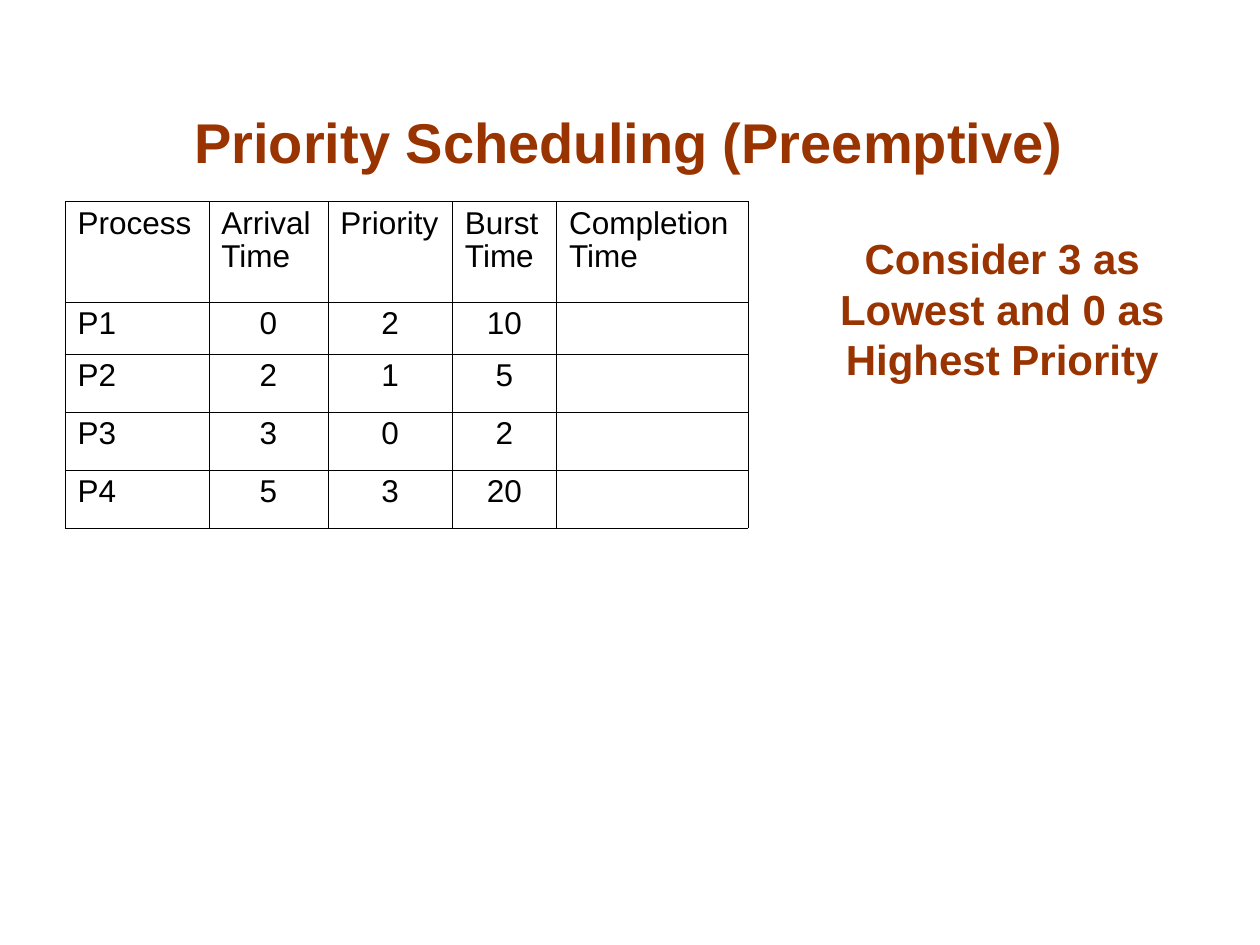
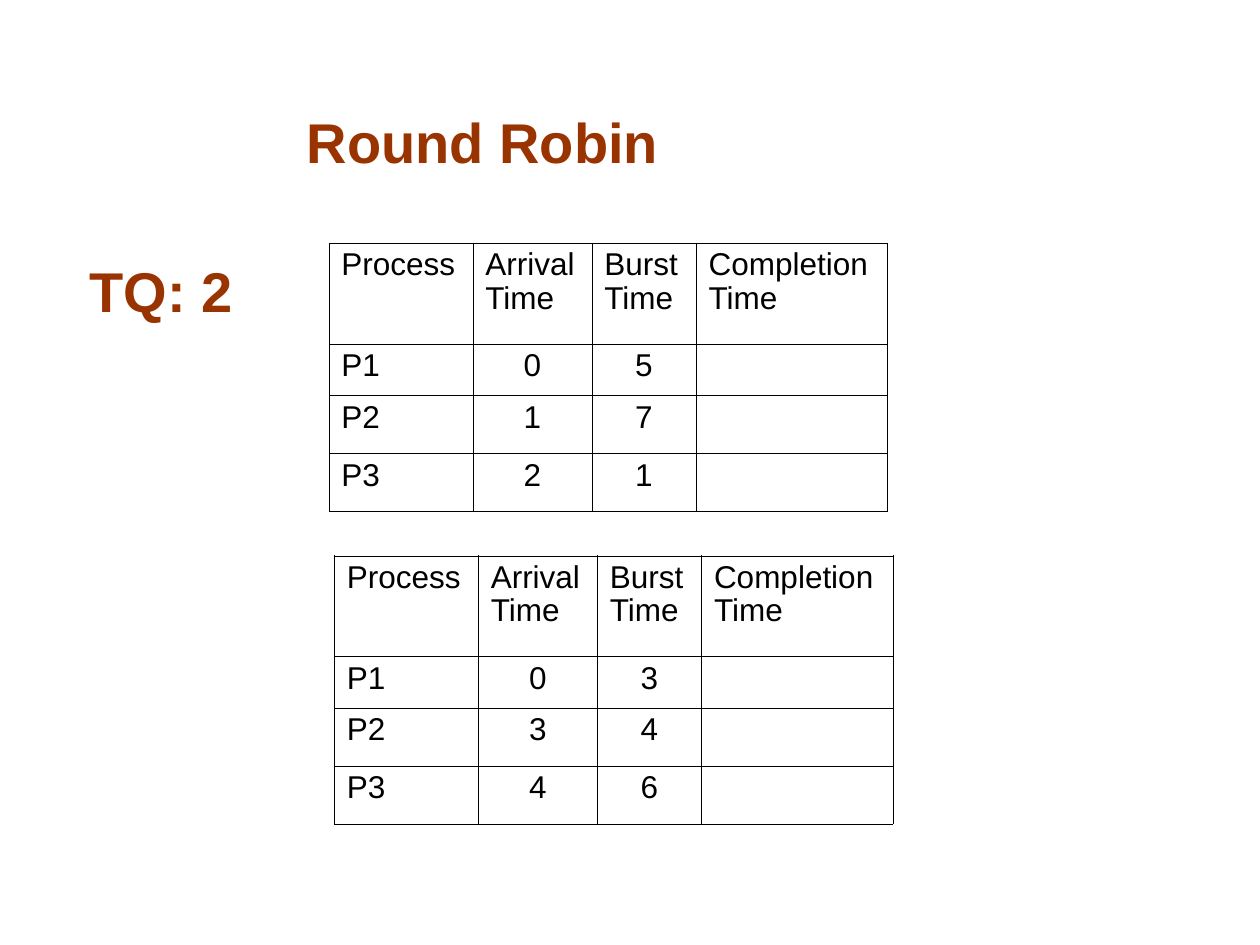
from lxml.etree import SubElement
from pptx import Presentation
from pptx.dml.color import RGBColor
from pptx.enum.text import MSO_ANCHOR as Anchor, MSO_AUTO_SIZE as Fit, PP_ALIGN as Align
from pptx.oxml.ns import qn
from pptx.util import Cm, Pt

FONT = "Arial"
RUST = "993300"
BLACK = "000000"
HAIR = Pt(0.11)

WIDTHS = {"Process": 2.9, "Arrival Time": 2.4, "Priority": 2.51,
          "Burst Time": 2.1, "Completion Time": 3.86}
HEAD, FIRST, OTHER = 2.03, 1.04, 1.17


def color(code):
    return RGBColor.from_string(code)


def write(frame, text, size=18, ink=BLACK, bold=False, align=Align.LEFT, lead=1.0):
    para = frame.paragraphs[0]
    para.text = text
    para.alignment = align
    para.line_spacing = lead
    font = para.font
    font.name, font.size, font.bold = FONT, Pt(size), bold
    font.color.rgb = color(ink)


def border(cell):
    props = cell._tc.get_or_add_tcPr()
    for side in ("lnL", "lnR", "lnT", "lnB"):
        line = SubElement(props, qn("a:" + side), w=str(HAIR))
        fill = SubElement(line, qn("a:solidFill"))
        SubElement(fill, qn("a:srgbClr"), val=BLACK)


class Deck:
    """Holds the shared style and the slide being built."""

    def __init__(self):
        self.prs = Presentation()
        self.prs.slide_width, self.prs.slide_height = Cm(25.4), Cm(19.05)
        self.slide = None

    def head(self, shape, box, text, size):
        """Place a shape and give it bold, centred, bottom-set text."""
        shape.left, shape.top, shape.width, shape.height = map(Cm, box)
        frame = shape.text_frame
        frame.word_wrap = True
        frame.auto_size = Fit.NONE
        frame.vertical_anchor = Anchor.BOTTOM
        write(frame, text, size=size, ink=RUST, bold=True, align=Align.CENTER)

    def start(self, title, width):
        """Add a slide with its title."""
        self.slide = self.prs.slides.add_slide(self.prs.slide_layouts[5])
        self.head(self.slide.shapes.title, (1.88, 1.85, width, 1.8), title, 32)

    def note(self, box, text, size):
        shape = self.slide.shapes.add_textbox(*map(Cm, box))
        self.head(shape, box, text, size)

    def table(self, left, top, names, jobs):
        """Add a process table, with the last column left to fill in."""
        rows = [names] + [(f"P{i}", *job, "") for i, job in enumerate(jobs, 1)]
        wide = [WIDTHS[name] for name in names]
        high = [HEAD, FIRST] + [OTHER] * (len(jobs) - 1)
        grid = self.slide.shapes.add_table(
            len(rows), len(names), Cm(left), Cm(top), Cm(sum(wide)), Cm(sum(high))).table
        grid.first_row = grid.horz_banding = False
        for col, width in zip(grid.columns, wide):
            col.width = Cm(width)
        for row, height in zip(grid.rows, high):
            row.height = Cm(height)
        for r, row in enumerate(rows):
            for c, value in enumerate(row):
                cell = grid.cell(r, c)
                border(cell)
                cell.fill.background()
                align = Align.CENTER if r and c else Align.LEFT
                write(cell.text_frame, str(value), align=align, lead=0.94)


def main():
    deck = Deck()
    names = list(WIDTHS)

    deck.start("Priority Scheduling (Preemptive)", 21.6)
    deck.table(1.31, 4.06, names, [(0, 2, 10), (2, 1, 5), (3, 0, 2), (5, 3, 20)])
    deck.note((15.67, 4.09, 9.07, 3.78),
              "Consider 3 as Lowest and 0 as Highest Priority", 24)

    deck.start("Round Robin", 15.7)
    names.remove("Priority")
    deck.table(6.63, 4.9, names, [(0, 5), (1, 7), (2, 1)])
    deck.note((0.74, 4.85, 5.33, 1.8), "TQ: 2 ", 32)
    deck.table(6.74, 11.2, names, [(0, 3), (3, 4), (4, 6)])

    deck.prs.save("out.pptx")


if __name__ == "__main__":
    main()
